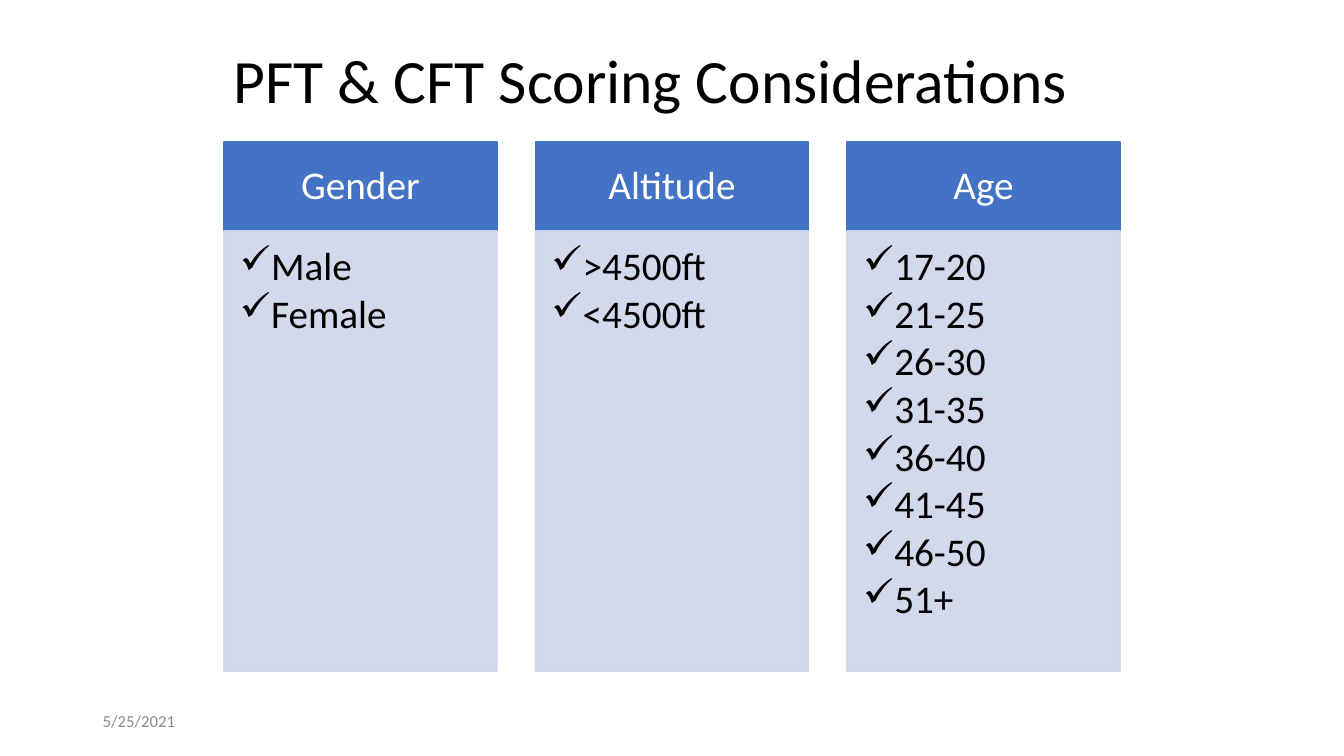
from lxml.etree import SubElement
from pptx import Presentation
from pptx.dml.color import RGBColor
from pptx.enum.shapes import MSO_SHAPE as Preset
from pptx.enum.text import MSO_ANCHOR as Anchor, PP_ALIGN as Align
from pptx.oxml.ns import qn
from pptx.util import Inches, Pt

BLUE = RGBColor(0x44, 0x72, 0xC4)
PALE = RGBColor(0xCF, 0xD5, 0xEA)
WHITE = RGBColor(0xFF, 0xFF, 0xFF)
BLACK = RGBColor(0, 0, 0)
GREY = RGBColor(0x8C, 0x8C, 0x8C)

COLUMNS = {
    "Gender": ["Male", "Female"],
    "Altitude": [">4500ft", "<4500ft"],
    "Age": ["17-20", "21-25", "26-30", "31-35", "36-40", "41-45", "46-50", "51+"],
}
LEFT, PITCH, WIDTH = 2.22, 3.09, 2.71
TOP, HEADER_HEIGHT, PANEL_HEIGHT = 1.41, 0.88, 4.37


class SlideBuilder:
    """Holds the style and the current slide, and adds each kind of element."""

    font = "Calibri"
    body_size = 28

    def __init__(self, page):
        self.page = page

    def add_span(self, para, text, size, color):
        span = para.add_run()
        span.text = text
        span.font.name = self.font
        span.font.size = Pt(size)
        span.font.color.rgb = color

    def frame(self, shape, anchor, insets):
        frame = shape.text_frame
        frame.word_wrap = True
        frame.vertical_anchor = anchor
        (frame.margin_left, frame.margin_top,
         frame.margin_right, frame.margin_bottom) = map(Inches, insets)
        return frame

    def label(self, place, text, size, color, anchor):
        box = self.page.shapes.add_textbox(*map(Inches, place))
        frame = self.frame(box, anchor, (0.1, 0.05, 0.1, 0.05))
        self.add_span(frame.paragraphs[0], text, size, color)

    def block(self, place, color, opacity=100):
        box = self.page.shapes.add_shape(Preset.RECTANGLE, *map(Inches, place))
        box.shadow.inherit = False
        box.line.width = Pt(1)
        for fill in (box.fill, box.line.fill):
            fill.solid()
            fill.fore_color.rgb = color
        if opacity < 100:
            for tint in box._element.spPr.iter(qn("a:srgbClr")):
                SubElement(tint, qn("a:alpha"), val=str(opacity * 1000))
        return box

    def header(self, place, text):
        box = self.block(place, BLUE)
        frame = self.frame(box, Anchor.MIDDLE, (0.22, 0.12, 0.22, 0.12))
        para = frame.paragraphs[0]
        para.alignment = Align.CENTER
        para.line_spacing = 0.9
        self.add_span(para, text, self.body_size, WHITE)

    def checklist(self, place, items):
        box = self.block(place, PALE, 90)
        frame = self.frame(box, Anchor.TOP, (0.16, 0.16, 0.22, 0.24))
        for index, item in enumerate(items):
            para = frame.add_paragraph() if index else frame.paragraphs[0]
            para.level = 1
            para.alignment = Align.LEFT
            para.line_spacing = 0.9
            para.space_after = Pt(3.75)
            props = para._p.get_or_add_pPr()
            props.set("marL", str(Inches(0.31)))
            props.set("indent", str(-Inches(0.31)))
            SubElement(props, qn("a:buChar"), char="✓")
            self.add_span(para, item, self.body_size, BLACK)


deck = Presentation()
deck.slide_width, deck.slide_height = Inches(13.33), Inches(7.5)
slide = SlideBuilder(deck.slides.add_slide(deck.slide_layouts[6]))

for number, (heading, items) in enumerate(COLUMNS.items()):
    left = LEFT + number * PITCH
    slide.header((left, TOP, WIDTH, HEADER_HEIGHT), heading)
    slide.checklist((left, TOP + HEADER_HEIGHT, WIDTH, PANEL_HEIGHT), items)

slide.label((2.22, 0.37, 8.68, 0.84), "PFT & CFT Scoring Considerations", 44, BLACK, Anchor.TOP)
slide.label((0.92, 6.95, 3, 0.4), "5/25/2021", 12, GREY, Anchor.MIDDLE)

deck.save("out.pptx")
